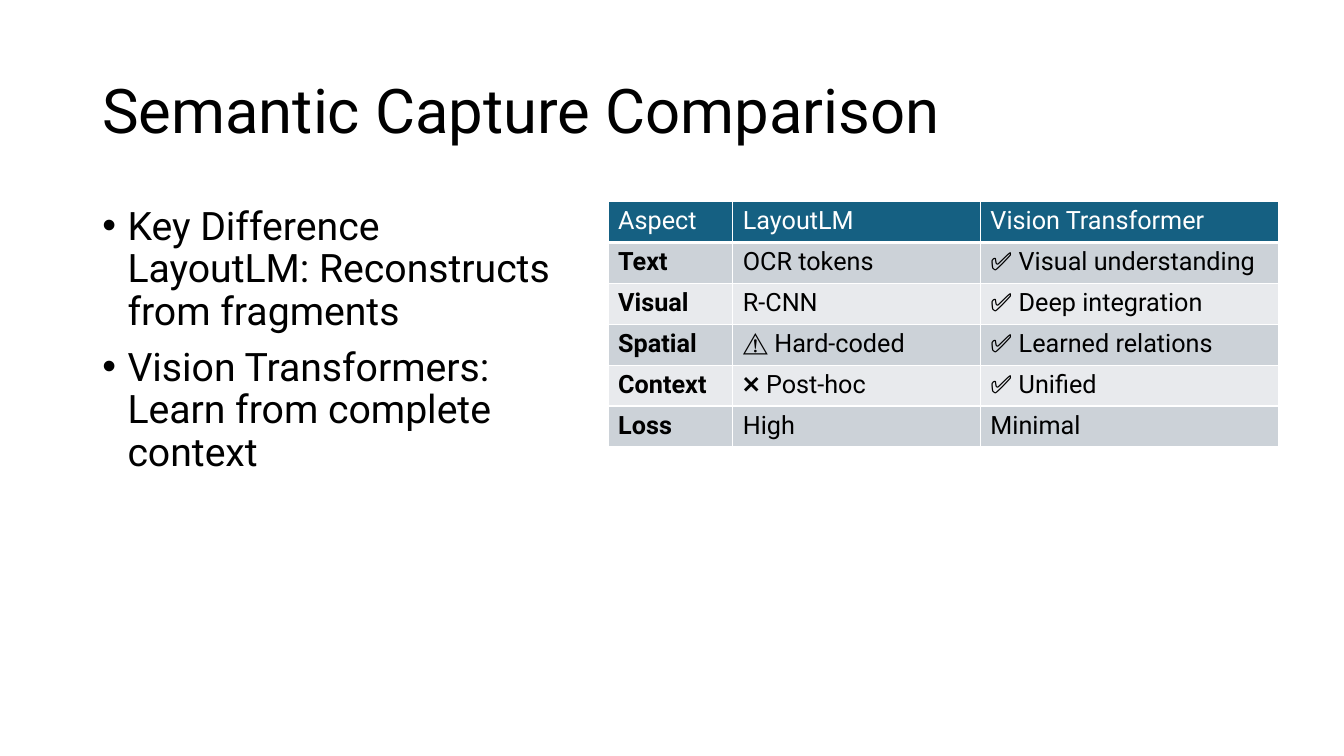
from dataclasses import dataclass

from lxml import etree
from pptx import Presentation
from pptx import util as u
from pptx.dml.color import RGBColor
from pptx.enum import text
from pptx.oxml import ns


@dataclass(frozen=True)
class Theme:
    face: str = "Roboto"
    ink: str = "000000"
    paper: str = "FFFFFF"
    head: str = "156082"
    bands: tuple = ("CCD2D8", "E8EAED")
    title: int = 44
    body: int = 28
    cell: int = 18


THEME = Theme()
COLS, ROWS = 80, 45
WIDTH, HEIGHT = u.Inches(13.333), u.Inches(7.5)

POINTS = (
    "Key Difference LayoutLM: Reconstructs from fragments",
    "Vision Transformers: \nLearn from complete context",
)
ASPECTS = (
    ("Aspect", "LayoutLM", "Vision Transformer"),
    ("Text", "OCR tokens", "✅ Visual understanding"),
    ("Visual", "R-CNN", "✅ Deep integration"),
    ("Spatial", "⚠️ Hard-coded", "✅ Learned relations"),
    ("Context", "❌ Post-hoc", "✅ Unified"),
    ("Loss", "High", "Minimal"),
)


def across(cols):
    return round(WIDTH * cols / COLS)


def down(rows):
    return round(HEIGHT * rows / ROWS)


def area(left, top, wide, high):
    return across(left), down(top), across(wide), down(high)


def write(para, words, size, tint=THEME.ink, bold=False):
    para.text = words
    looks = {"name": THEME.face, "size": u.Pt(size), "bold": bold}
    for run in para.runs:
        for key, value in looks.items():
            setattr(run.font, key, value)
        run.font.color.rgb = RGBColor.from_string(tint)


def add_text(slide, place, lines, size, **format):
    frame = slide.shapes.add_textbox(*place).text_frame
    frame.word_wrap = True
    for key, value in format.items():
        setattr(frame, key, value)
    for index, words in enumerate(lines):
        para = frame.add_paragraph() if index else frame.paragraphs[0]
        write(para, words, size)
        para.line_spacing = 0.9
    return frame


def add_bullets(slide, place, lines):
    frame = add_text(slide, place, lines, THEME.body)
    for para in frame.paragraphs:
        para.space_before = u.Pt(10)
        props = para._p.get_or_add_pPr()
        props.set("marL", str(u.Inches(0.25)))
        props.set("indent", str(u.Inches(-0.25)))
        etree.SubElement(props, ns.qn("a:buFont")).set("typeface", "Arial")
        etree.SubElement(props, ns.qn("a:buChar")).set("char", "•")


def edge(cell, base):
    props = cell._tc.get_or_add_tcPr()
    for index, side in enumerate("LRTB"):
        line = etree.Element(ns.qn(f"a:ln{side}"))
        line.set("w", str(u.Pt(base if side == "B" else 1)))
        fill = etree.SubElement(line, ns.qn("a:solidFill"))
        etree.SubElement(fill, ns.qn("a:srgbClr")).set("val", THEME.paper)
        props.insert(index, line)


def add_grid(slide, place, widths, data):
    grid = slide.shapes.add_table(len(data), len(widths), *place).table
    grid.first_row = grid.horz_banding = False
    for column, wide in zip(grid.columns, widths):
        column.width = across(wide)
    for row, items in enumerate(data):
        for col, words in enumerate(items):
            cell = grid.cell(row, col)
            tint = THEME.bands[(row - 1) % 2] if row else THEME.head
            cell.fill.solid()
            cell.fill.fore_color.rgb = RGBColor.from_string(tint)
            edge(cell, 1 if row else 3)
            write(cell.text_frame.paragraphs[0], words, THEME.cell,
                  THEME.ink if row else THEME.paper, bool(row) and col == 0)


def main():
    deck = Presentation()
    deck.slide_width, deck.slide_height = WIDTH, HEIGHT
    slide = deck.slides.add_slide(deck.slide_layouts[6])
    add_text(slide, area(5.5, 2.4, 69, 8.7), ["Semantic Capture Comparison"],
             THEME.title, vertical_anchor=text.MSO_ANCHOR.MIDDLE)
    add_bullets(slide, area(5.5, 12, 28.5, 28.55), POINTS)
    add_grid(slide, area(36.2, 12, 39.9, 14.6), (7.42, 14.74, 17.74), ASPECTS)
    deck.save("out.pptx")


if __name__ == "__main__":
    main()
